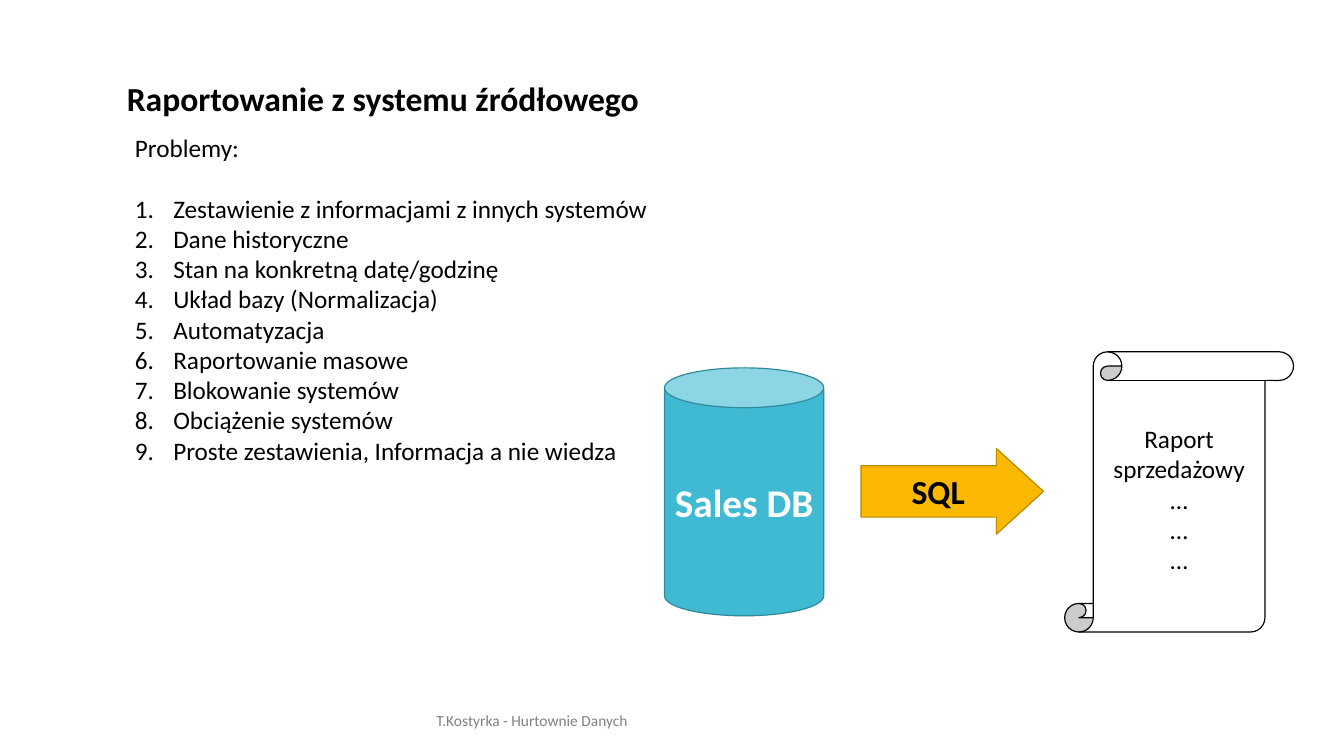
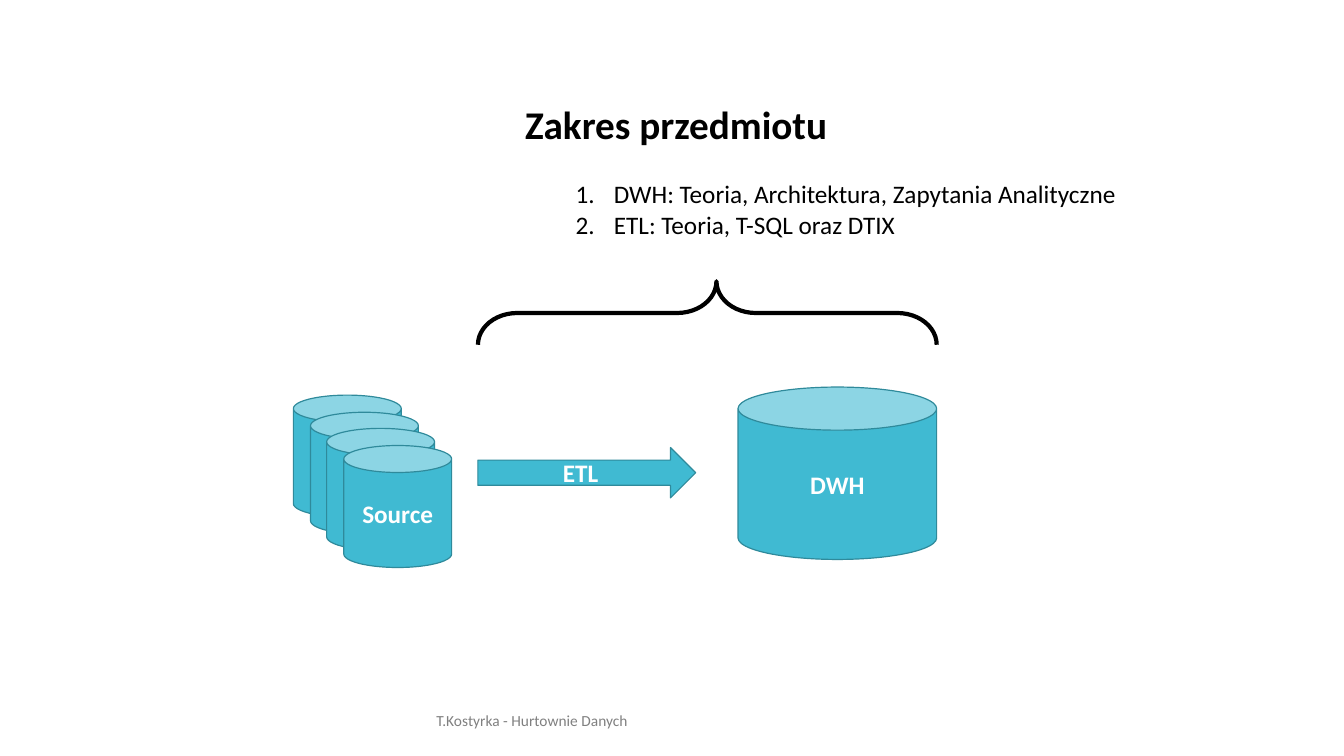
from dataclasses import dataclass
from typing import Optional

from lxml.etree import SubElement
from pptx import Presentation
from pptx.dml.color import RGBColor
from pptx.enum.shapes import MSO_SHAPE as Preset
from pptx.enum.text import MSO_ANCHOR as Anchor, PP_ALIGN as Align
from pptx.oxml.ns import qn
from pptx.util import Emu, Pt

# Shared style: 100 px to the inch
EMU_PER_PX = 9144
FONT = "Calibri"
BLACK = RGBColor(0x00, 0x00, 0x00)
WHITE = RGBColor(0xFF, 0xFF, 0xFF)
GRAY = RGBColor(0x80, 0x80, 0x80)
TEAL = RGBColor(0x40, 0xBA, 0xD2)
DARK_TEAL = RGBColor(0x2F, 0x8A, 0x9B)
AMBER = RGBColor(0xFA, 0xB9, 0x00)
DARK_AMBER = RGBColor(0xB9, 0x89, 0x00)

BODY_SIZE = 18
SECTION_GAP = 22
HANGING = 38
FOOTER = "T.Kostyrka - Hurtownie Danych"

PROBLEMS = (
    "Zestawienie z informacjami z innych systemów",
    "Dane historyczne",
    "Stan na konkretną datę/godzinę",
    "Układ bazy (Normalizacja)",
    "Automatyzacja",
    "Raportowanie masowe",
    "Blokowanie systemów",
    "Obciążenie systemów",
    "Proste zestawienia, Informacja a nie wiedza",
)
TOPICS = (
    "DWH: Teoria, Architektura, Zapytania Analityczne",
    "ETL: Teoria, T-SQL oraz DTIX",
)


@dataclass(frozen=True)
class Box:
    left: int
    top: int
    width: int
    height: int

    def emu(self) -> tuple:
        return tuple(px(v) for v in (self.left, self.top, self.width, self.height))


@dataclass(frozen=True)
class Figure:
    preset: Preset
    box: Box
    lines: tuple = ()
    fill: Optional[RGBColor] = TEAL
    outline: RGBColor = DARK_TEAL
    weight: float = 0.85
    color: RGBColor = WHITE
    size: int = BODY_SIZE
    bold: bool = True
    adjustments: tuple = ()
    rotation: int = 0


def px(value: int) -> Emu:
    return Emu(value * EMU_PER_PX)


# Text
def add_line(frame, text: str, *, size: int = BODY_SIZE, color: RGBColor = BLACK,
             bold: bool = False, align: Align = Align.LEFT, margin: int = 0,
             numbered: bool = False, space_before: int = 0) -> None:
    paragraph = frame.paragraphs[0]
    if paragraph.runs:
        paragraph = frame.add_paragraph()
    paragraph.alignment = align
    paragraph.space_before = Pt(space_before)
    properties = paragraph._p.get_or_add_pPr()
    properties.set("marL", str(px(margin)))
    properties.set("indent", str(px(-HANGING if numbered else 0)))
    if numbered:
        SubElement(properties, qn("a:buAutoNum"), type="arabicPeriod")
    run = paragraph.add_run()
    run.text = text
    run.font.name = FONT
    run.font.size = Pt(size)
    run.font.bold = bold
    run.font.color.rgb = color


def add_numbered(frame, items: tuple, margin: int) -> None:
    for index, item in enumerate(items):
        add_line(frame, item, margin=margin, numbered=True,
                 space_before=0 if index else SECTION_GAP)


def add_frame(slide, box: Box, anchor: Anchor = Anchor.TOP):
    frame = slide.shapes.add_textbox(*box.emu()).text_frame
    frame.word_wrap = True
    frame.vertical_anchor = anchor
    return frame


# Shapes
def add_figure(slide, figure: Figure) -> None:
    shape = slide.shapes.add_shape(figure.preset, *figure.box.emu())
    shape.shadow.inherit = False
    shape.rotation = figure.rotation
    for index, value in enumerate(figure.adjustments):
        shape.adjustments[index] = value
    if figure.fill is None:
        shape.fill.background()
    else:
        shape.fill.solid()
        shape.fill.fore_color.rgb = figure.fill
    shape.line.color.rgb = figure.outline
    shape.line.width = Pt(figure.weight)
    frame = shape.text_frame
    frame.word_wrap = True
    frame.vertical_anchor = Anchor.MIDDLE
    frame.margin_left = frame.margin_right = px(5)
    for line in figure.lines:
        add_line(frame, line, size=figure.size, color=figure.color,
                 bold=figure.bold, align=Align.CENTER)


def add_slide(presentation):
    slide = presentation.slides.add_slide(presentation.slide_layouts[6])
    footer = add_frame(slide, Box(423, 695, 646, 40), Anchor.MIDDLE)
    add_line(footer, FOOTER, size=11, color=GRAY)
    return slide


# Slides
def build_reporting(presentation) -> None:
    slide = add_slide(presentation)
    title = add_frame(slide, Box(66, 72, 1093, 50))
    add_line(title, "Raportowanie z systemu źródłowego", size=24, bold=True, margin=50)

    figures = (
        Figure(Preset.RIGHT_ARROW, Box(854, 445, 181, 85), ("SQL",), fill=AMBER,
               outline=DARK_AMBER, color=BLACK, size=24, adjustments=(0.6, 0.55)),
        Figure(Preset.VERTICAL_SCROLL, Box(1056, 349, 227, 278),
               ("Raport sprzedażowy", "…", "…", "…"), fill=WHITE, outline=BLACK,
               color=BLACK, bold=False),
        Figure(Preset.CAN, Box(659, 365, 158, 246), ("Sales DB",), size=28),
    )
    for figure in figures:
        add_figure(slide, figure)

    body = add_frame(slide, Box(124, 126, 562, 343))
    add_line(body, "Problemy:")
    add_numbered(body, PROBLEMS, HANGING)


def build_scope(presentation) -> None:
    slide = add_slide(presentation)

    # Overlapping source databases, evenly staggered; only the front one is named
    count, spread = 4, 50
    for index in range(count):
        offset = round(index * spread / (count - 1))
        label = ("Source",) if index == count - 1 else ()
        add_figure(slide, Figure(Preset.CAN, Box(291 + offset, 392 + offset, 107, 121), label))

    figures = (
        Figure(Preset.CAN, Box(732, 384, 197, 171), ("DWH",)),
        Figure(Preset.RIGHT_ARROW, Box(474, 444, 216, 50), ("ETL",)),
        Figure(Preset.RIGHT_BRACE, Box(670, 83, 63, 455), fill=None, outline=BLACK,
               weight=3, adjustments=(0.62, 0.52), rotation=270),
    )
    for figure in figures:
        add_figure(slide, figure)

    body = add_frame(slide, Box(511, 95, 675, 148))
    add_line(body, "Zakres przedmiotu", size=28, bold=True)
    add_numbered(body, TOPICS, 50 + HANGING)


def main() -> None:
    presentation = Presentation()
    presentation.slide_width = px(1333)
    presentation.slide_height = px(750)
    build_reporting(presentation)
    build_scope(presentation)
    presentation.save("out.pptx")


if __name__ == "__main__":
    main()
